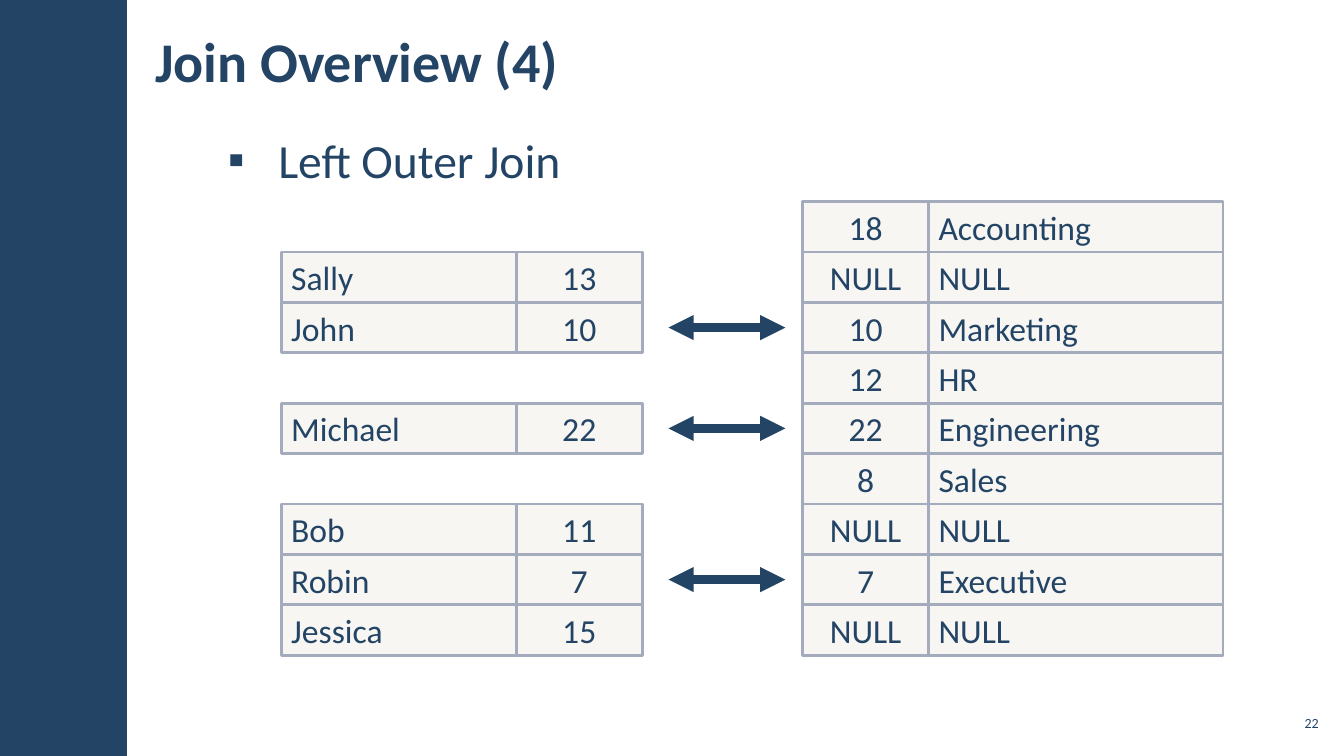
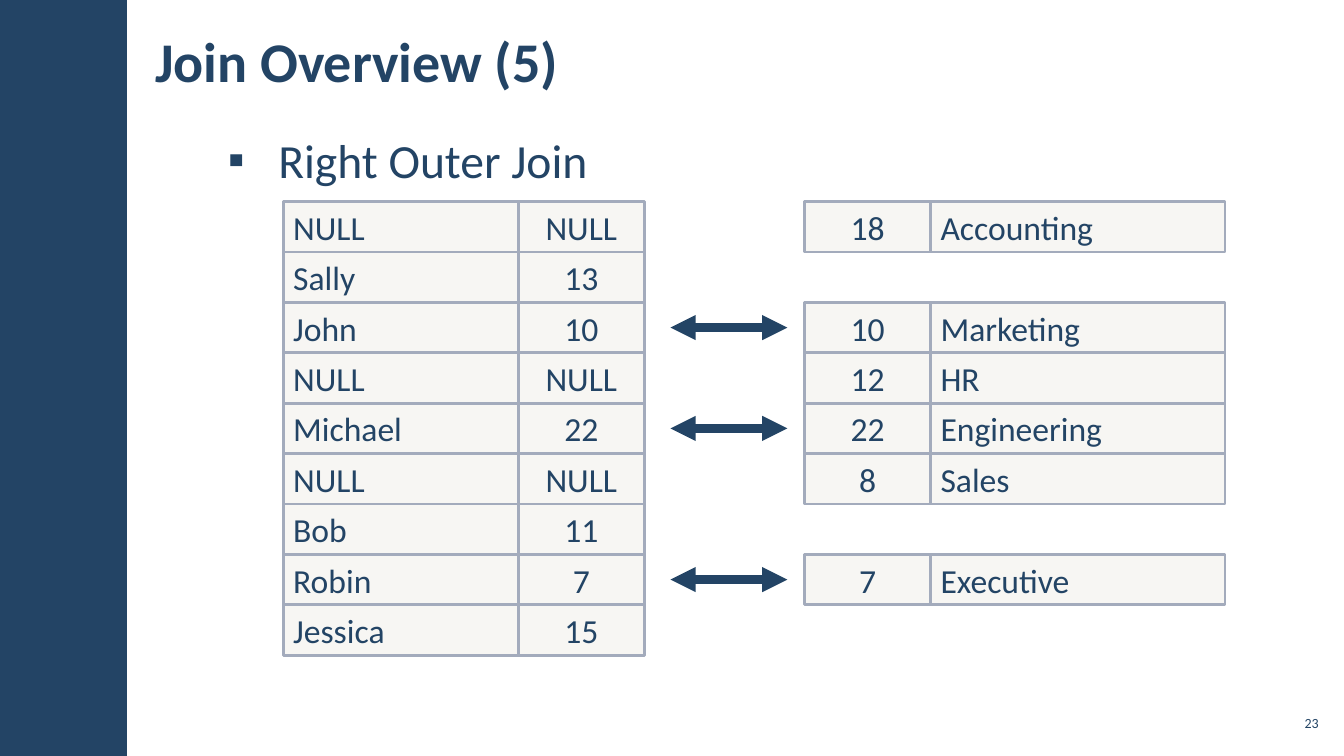
from pptx import Presentation
from pptx.dml.color import RGBColor
from pptx.enum.shapes import MSO_CONNECTOR, MSO_SHAPE
from pptx.enum.text import MSO_ANCHOR, MSO_AUTO_SIZE, PP_ALIGN
from pptx.oxml.ns import qn
from pptx.util import Emu, Pt
from lxml.etree import SubElement

EMU_PER_PX = 9144  # 100 px to the inch
COLORS = {"navy": "234465", "cell": "D9D5C7", "border": "A3ABBC"}
FONT = "Calibri"

PAGE_WIDTH, PAGE_HEIGHT = 1333, 750
ROW_TOP, ROW_HEIGHT = 200, 50
TEXT_WIDTH = {"name": 233, "department": 292}
ID_WIDTH = 125
EMPLOYEE_LEFT, ARROW_LEFT, DEPARTMENT_LEFT = 279, 663, 796
ARROW_LENGTH = 116

NULL_ROW = ("NULL", "NULL")
# Each row: employee (name, department id) and department (id, name)
ROWS = [
    (None, ("18", "Accounting")),
    (("Sally", "13"), None),
    (("John", "10"), ("10", "Marketing")),
    (None, ("12", "HR")),
    (("Michael", "22"), ("22", "Engineering")),
    (None, ("8", "Sales")),
    (("Bob", "11"), None),
    (("Robin", "7"), ("7", "Executive")),
    (("Jessica", "15"), None),
]


def px(length):
    return Emu(length * EMU_PER_PX)


def color(name):
    return RGBColor.from_string(COLORS[name])


class JoinDeck:
    """Holds the shared style and the slide being filled."""

    def __init__(self):
        self.deck = Presentation()
        self.deck.slide_width = px(PAGE_WIDTH)
        self.deck.slide_height = px(PAGE_HEIGHT)
        self.layout = self.deck.slide_layouts[1]
        self.page = None

    def new_page(self, title, topic, number):
        self.page = self.deck.slides.add_slide(self.layout)
        if len(self.deck.slides) == 1:
            self.add_band_to_layout()
        self.title(title)
        self.bullet(topic)
        self.page_number(number)

    def add_band_to_layout(self):
        """Draw the side band once and move it to the layout, behind the rest."""
        band = self.page.shapes.add_shape(
            MSO_SHAPE.RECTANGLE, px(0), px(0), px(126), px(PAGE_HEIGHT))
        band.shadow.inherit = False
        band.fill.solid()
        band.fill.fore_color.rgb = color("navy")
        band.line.fill.background()
        self.layout.shapes._spTree.insert(2, band._element)

    def place(self, box, left, top, width, height):
        box.left, box.top = px(left), px(top)
        box.width, box.height = px(width), px(height)

    def add_text(self, box, text, size, align=PP_ALIGN.LEFT, bold=False,
                 anchor=MSO_ANCHOR.MIDDLE, insets=(10, 5)):
        """Fill the box with one styled run and return its paragraph."""
        frame = box.text_frame
        frame.word_wrap = True
        frame.auto_size = MSO_AUTO_SIZE.NONE
        frame.vertical_anchor = anchor
        frame.margin_left = frame.margin_right = px(insets[0])
        frame.margin_top = frame.margin_bottom = px(insets[1])
        para = frame.paragraphs[0]
        para.alignment = align
        span = para.add_run()
        span.text = text
        span.font.name = FONT
        span.font.size = Pt(size)
        span.font.bold = bold
        span.font.color.rgb = color("navy")
        return para

    def title(self, text):
        box = self.page.shapes.title
        self.place(box, 142, 11, 919, 97)
        self.add_text(box, text, 40, bold=True, insets=(12, 4))

    def bullet(self, text):
        box = self.page.placeholders[1]
        self.place(box, 214, 123, 1098, 577)
        para = self.add_text(box, text, 34, anchor=MSO_ANCHOR.TOP, insets=(12, 4))
        para.line_spacing = 1.05
        para.space_before = para.space_after = Pt(6)
        properties = para._p.get_or_add_pPr()
        properties.set("marL", str(px(50)))
        properties.set("indent", str(px(-50)))
        SubElement(properties, qn("a:buChar"), char="▪")

    def page_number(self, number):
        box = self.page.shapes.add_textbox(px(1265), px(700), px(47), px(34))
        self.add_text(box, str(number), 10, PP_ALIGN.RIGHT, insets=(4, 4))

    def cell(self, group, text, left, top, width, align):
        box = group.shapes.add_shape(
            MSO_SHAPE.RECTANGLE, px(left), px(top), px(width), px(ROW_HEIGHT))
        box.shadow.inherit = False
        box.fill.solid()
        box.fill.fore_color.rgb = color("cell")
        tint = box._element.spPr.find(qn("a:solidFill"))[0]
        SubElement(tint, qn("a:alpha"), val="20000")
        box.line.color.rgb = color("border")
        box.line.width = Pt(2)
        self.add_text(box, text, 24, align)

    def employee(self, record, left, top):
        name, department_id = record
        group = self.page.shapes.add_group_shape()
        width = TEXT_WIDTH["name"]
        self.cell(group, name, left, top, width, PP_ALIGN.LEFT)
        self.cell(group, department_id, left + width, top, ID_WIDTH, PP_ALIGN.CENTER)

    def department(self, record, left, top):
        department_id, name = record
        group = self.page.shapes.add_group_shape()
        self.cell(group, department_id, left, top, ID_WIDTH, PP_ALIGN.CENTER)
        self.cell(group, name, left + ID_WIDTH, top, TEXT_WIDTH["department"],
                  PP_ALIGN.LEFT)

    def match_arrow(self, left, middle):
        arrow = self.page.shapes.add_connector(
            MSO_CONNECTOR.STRAIGHT, px(left), px(middle),
            px(left + ARROW_LENGTH), px(middle))
        arrow.line.color.rgb = color("navy")
        arrow.line.width = Pt(6)
        outline = arrow.line._get_or_add_ln()
        for end in ("a:headEnd", "a:tailEnd"):
            SubElement(outline, qn(end), type="triangle")
        SubElement(arrow._element.spPr, qn("a:effectLst"))

    def join(self, shift=0, employee_gap=None, department_gap=None):
        """Draw both sides; a gap record, if given, stands in for missing rows."""
        for index, (employee, department) in enumerate(ROWS):
            top = ROW_TOP + index * ROW_HEIGHT
            if employee and department:
                self.match_arrow(ARROW_LEFT + shift, top + ROW_HEIGHT // 2)
            employee = employee or employee_gap
            department = department or department_gap
            if employee:
                self.employee(employee, EMPLOYEE_LEFT + shift, top)
            if department:
                self.department(department, DEPARTMENT_LEFT + shift, top)


def main():
    slides = JoinDeck()
    slides.new_page("Join Overview (4)", "Left Outer Join", 22)
    slides.join(department_gap=NULL_ROW)
    slides.new_page("Join Overview (5)", "Right Outer Join", 23)
    slides.join(shift=2, employee_gap=NULL_ROW)
    slides.deck.save("out.pptx")


if __name__ == "__main__":
    main()
